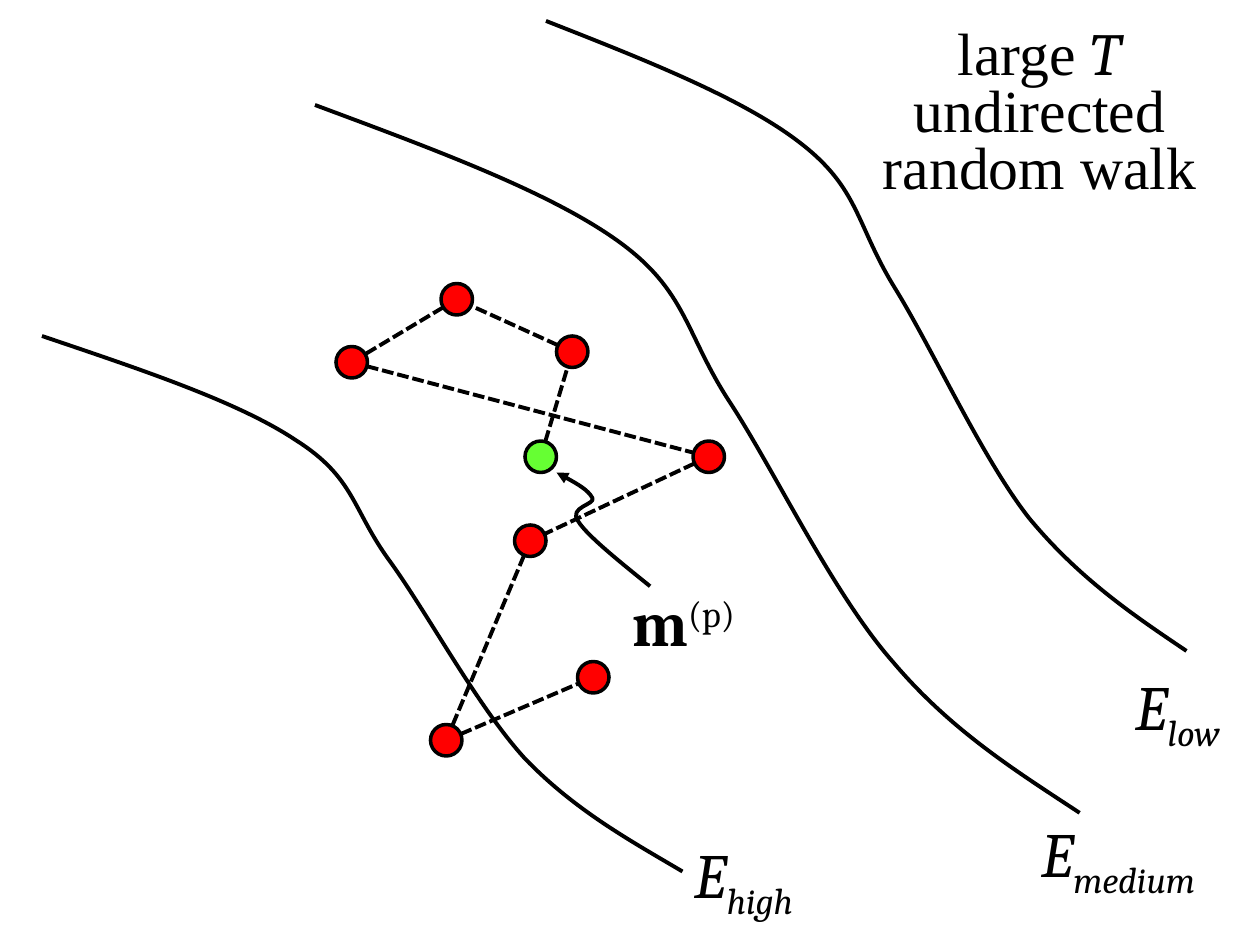
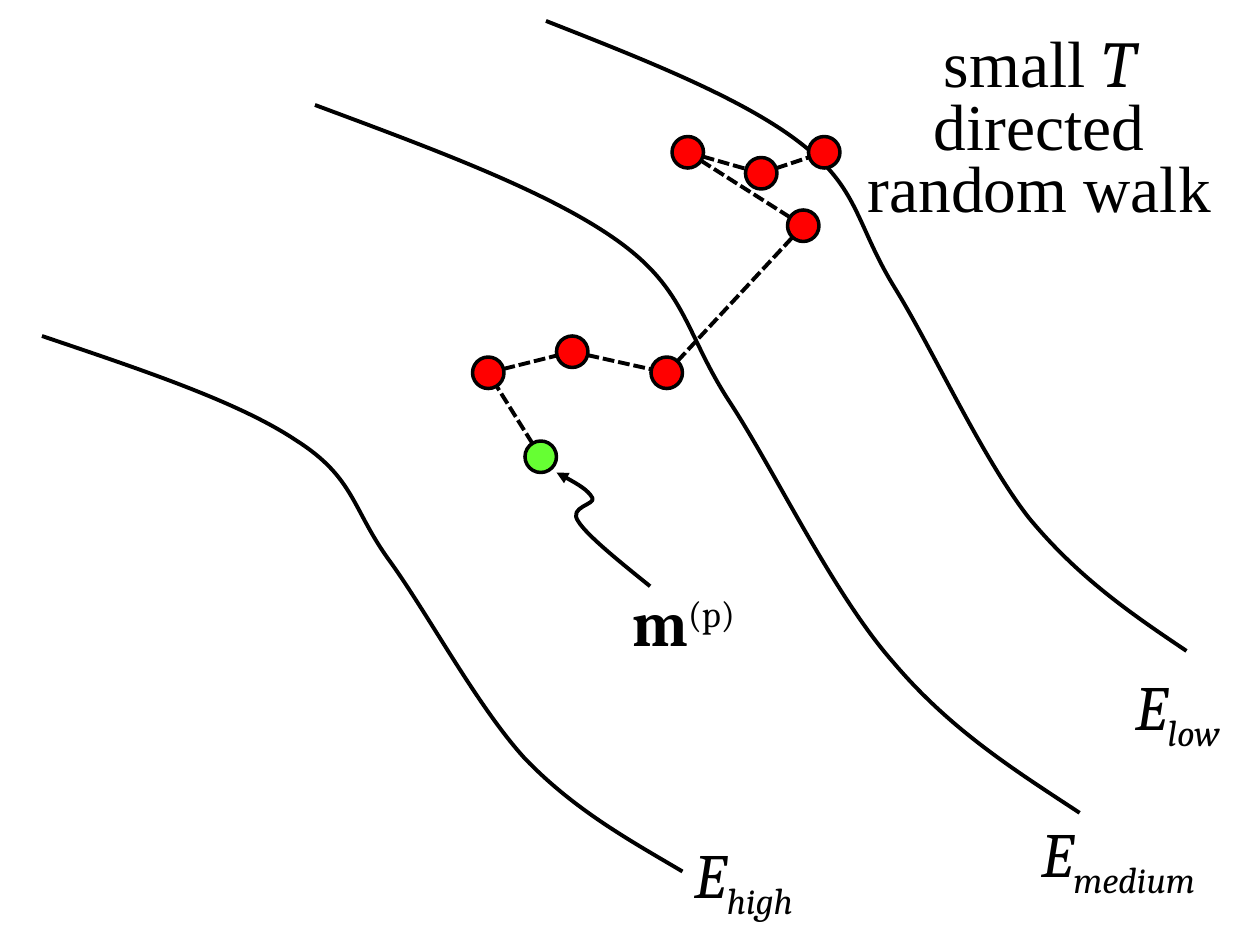
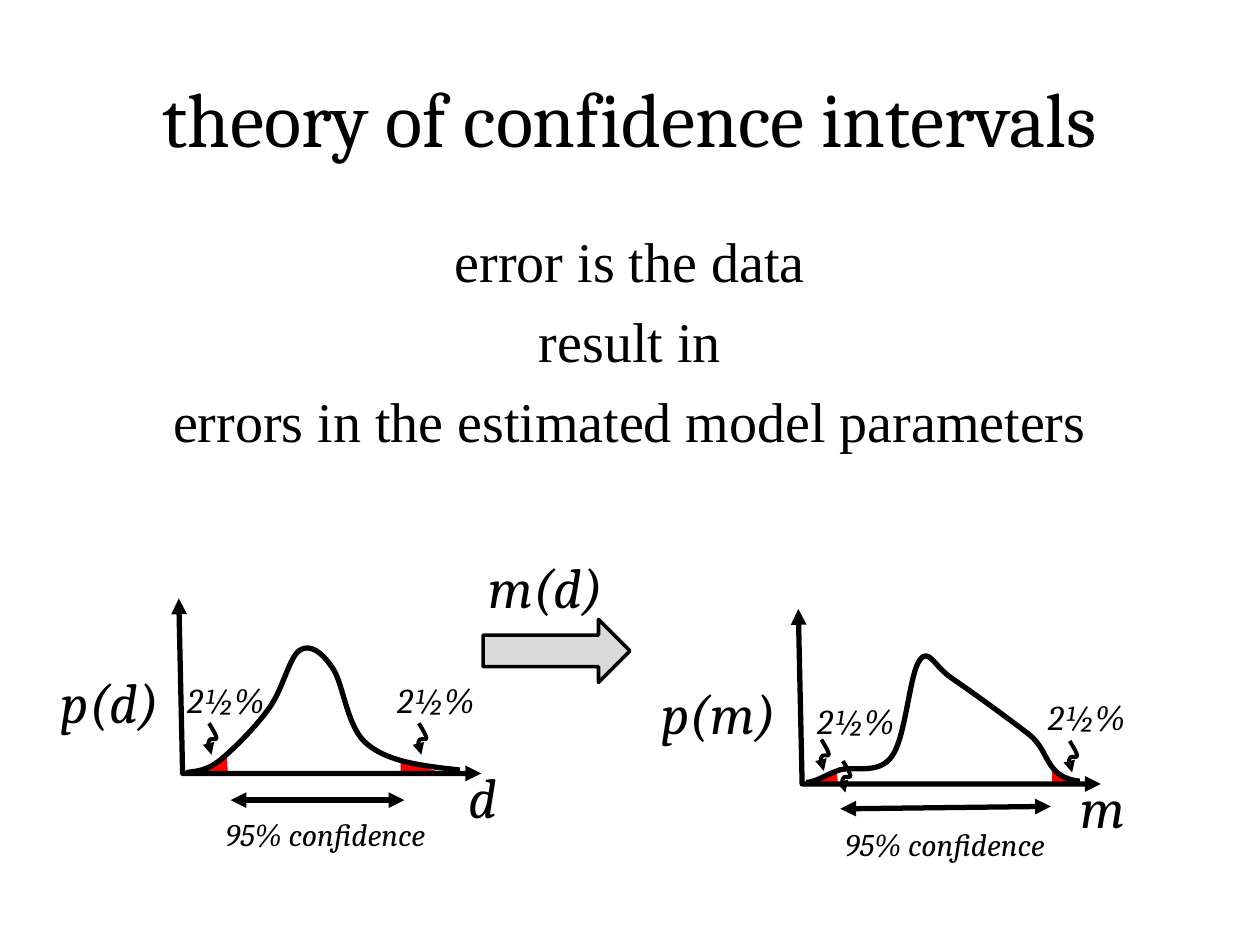
from itertools import pairwise
from lxml.etree import SubElement
from pptx import Presentation
from pptx.dml.color import RGBColor
from pptx.enum.dml import MSO_LINE
from pptx.enum.shapes import MSO_CONNECTOR as Connector, MSO_SHAPE as Preset
from pptx.enum.text import MSO_ANCHOR as Anchor, PP_ALIGN as Align
from pptx.oxml.ns import qn
from pptx.util import Pt

COLORS = {"ink": "000000", "start": "66FF33", "alert": "FF0000", "arrow": "D9D9D9"}
SERIF, BODY = "Cambria", "Times New Roman"
BALL = 18
START = (300, 252)

CONTOURS = [
    [(180, 60), (247, 85), (314, 109.5), (353.5, 138), (393, 166.5), (391.5, 191),
     (417.5, 230.5), (443.5, 270.5), (476.5, 340), (510.5, 378.5), (543.5, 417.5),
     (580.5, 440.5), (617, 464.5)],
    [(24, 192), (80, 211), (136, 229.5), (169, 251.5), (203, 273), (201, 291),
     (223, 321), (245, 351.5), (273, 404), (300, 433.5), (328.5, 463),
     (359.5, 480), (390, 498)],
    [(312, 12), (368, 34), (424, 56), (457, 81.5), (491, 107.5), (489, 128),
     (511, 164), (533, 199.5), (561, 261.5), (588, 296), (616.5, 330.5),
     (647.5, 351.5), (678, 372)],
]
POINTER = [(318, 270), (327.5, 275), (336, 280), (338.5, 284.5), (340.5, 288.5),
           (324.5, 289.5), (330.5, 298), (335.5, 306), (353.5, 320.5), (371.5, 335)]
CONTOUR_LABELS = [("high", (390, 474, 96, 51)), ("medium", (588, 462, 132, 51)),
                  ("low", (642, 378, 78, 51))]
WALKS = [
    {"heading": "large ", "detail": "undirected random walk", "size": 34.1,
     "box": (468, 12, 252, 108),
     "steps": [(318, 192), (252, 162), (192, 198), (396, 252), (294, 300),
               (246, 414), (330, 378)]},
    {"heading": "small ", "detail": "directed random walk", "size": 37.4,
     "box": (468, 18, 252, 114),
     "steps": [(270, 204), (318, 192), (372, 204), (450, 120), (384, 78),
               (426, 90), (462, 78)]},
]

TITLE = "theory of confidence intervals"
STATEMENT = ["error is the data", "result in", "errors in the estimated model parameters"]
AXES = [(102.2, 342), (104.4, 442), (275, 442)]
WIGGLE = [(0, 0), (2.2, 3.6), (4.3, 7.2), (4.3, 8.6), (4.3, 10.1), (0, 7.9),
          (0, 10.1), (-0.7, 11.5), (0, 14.4), (1.4, 18)]
PLOTS = [
    {"variable": "d", "offset": (0, 0), "density_box": (18, 378, 90, 54),
     "curve": [(106.6, 441.4), (112.3, 440.6), (118, 440.6), (126, 434.2),
               (133.9, 427.7), (147.6, 414), (154.8, 403.2), (162, 392.4),
               (165.6, 375.1), (171.4, 371.5), (177.1, 367.9), (183.6, 372.2),
               (190, 381.6), (196.6, 391), (198, 416.2), (210.2, 425.5),
               (222.5, 435.6), (242.6, 437.8), (262.8, 440)],
     "tails": [[(113, 442.8), (130.3, 442.1), (129.6, 430.6), (116.6, 440.6)],
               [(254.9, 442.1), (229, 442.1), (229, 434.9)]],
     "percents": [(72, 384), (192, 384)],
     "wiggles": [(119.5, 413.3), (239.4, 413.3)],
     "interval": [(131.8, 457.2), (231.1, 457.2)]},
    {"variable": "m", "offset": (354, 6), "density_box": (354, 384, 114, 54),
     "curve": [(460.8, 447.1), (465.8, 447.1), (471.6, 442.8), (480.2, 439.9),
               (488.2, 437.8), (502.6, 442.8), (509.8, 432), (517.7, 421.2),
               (519.8, 384.5), (525.6, 377.3), (530.6, 370), (533.5, 380.2),
               (543.6, 387.4), (554.4, 394.6), (576, 410.4), (588.2, 419.8),
               (600.5, 429.8), (596.9, 444.2), (617, 446.4)],
     "tails": [[(464.4, 448.6), (478.8, 447.1), (478.1, 440.6)],
               [(601.2, 439.9), (601.2, 447.8), (615.6, 447.1)]],
     "percents": [(432, 396), (563.8, 393.8)],
     "wiggles": [(469.4, 422.6), (611.3, 423.4), (481.7, 434.9)],
     "interval": [(480.2, 462.2), (600.5, 460.8)]},
]


def color(name):
    return RGBColor.from_string(COLORS[name])


def shifted(points, offset):
    return [(x + offset[0], y + offset[1]) for x, y in points]


def style_line(shape, width, head=False, tail=False):
    shape.line.color.rgb = color("ink")
    shape.line.width = Pt(width)
    line = shape.element.spPr.find(qn("a:ln"))
    for wanted, tag in ((head, "a:headEnd"), (tail, "a:tailEnd")):
        if wanted:
            SubElement(line, qn(tag), type="triangle")


def add_outline(slide, points, closed=False):
    start, *others = [(Pt(x), Pt(y)) for x, y in points]
    builder = slide.shapes.build_freeform(*start)
    builder.add_line_segments(others, close=closed)
    shape = builder.convert_to_shape()
    shape.shadow.inherit = False
    return shape


def add_stroke(slide, points, width, head=False, tail=False):
    shape = add_outline(slide, points)
    shape.fill.background()
    style_line(shape, width, head, tail)
    return shape


def add_curve(slide, points, width, head=False, tail=False):
    shape = add_stroke(slide, points, width, head, tail)
    segments = list(shape.element.iter(qn("a:lnTo")))
    outline = segments[0].getparent()
    for first in range(0, len(segments), 3):
        bezier = SubElement(outline, qn("a:cubicBezTo"))
        for segment in segments[first:first + 3]:
            bezier.append(segment[0])
            outline.remove(segment)


def add_line(slide, start, end, width, arrows=False, dashed=False):
    ends = [Pt(value) for value in (*start, *end)]
    connector = slide.shapes.add_connector(Connector.STRAIGHT, *ends)
    if dashed:
        connector.line.dash_style = MSO_LINE.SQUARE_DOT
    style_line(connector, width, arrows, arrows)
    SubElement(connector.element.spPr, qn("a:effectLst"))


def add_shape(slide, preset, box, fill):
    shape = slide.shapes.add_shape(preset, *map(Pt, box))
    shape.shadow.inherit = False
    shape.fill.solid()
    shape.fill.fore_color.rgb = color(fill)
    style_line(shape, 2)


def add_text_frame(slide, box, anchor=Anchor.TOP):
    frame = slide.shapes.add_textbox(*map(Pt, box)).text_frame
    frame.word_wrap = True
    frame.vertical_anchor = anchor
    return frame


def style_font(font, size, name=SERIF, italic=False):
    font.size, font.name, font.italic = Pt(size), name, italic
    font.color.rgb = color("ink")


def add_text(slide, lines, box, size, name=SERIF, italic=True, anchor=Anchor.TOP, gap=0.23):
    frame = add_text_frame(slide, box, anchor)
    for index, line in enumerate(lines):
        paragraph = frame.add_paragraph() if index else frame.paragraphs[0]
        paragraph.text = line
        paragraph.alignment = Align.CENTER
        paragraph.space_before = Pt(round(size * gap, 1))
        style_font(paragraph.font, size, name, italic)


def add_symbol(slide, letter, script, box, baseline, italic):
    paragraph = add_text_frame(slide, box).paragraphs[0]
    style_font(paragraph.font, 36, italic=italic)
    main, small = paragraph.add_run(), paragraph.add_run()
    main.text, small.text = letter, script
    main.font.bold = not italic
    small.font._element.set("baseline", str(baseline * 1000))


def add_walk_heading(slide, walk):
    frame = add_text_frame(slide, walk["box"], Anchor.MIDDLE)
    first, second = frame.paragraphs[0], frame.add_paragraph()
    for paragraph in (first, second):
        paragraph.alignment = Align.CENTER
        paragraph.line_spacing = 0.8
        style_font(paragraph.font, walk["size"], BODY)
    first.add_run().text = walk["heading"]
    temperature = first.add_run()
    temperature.text = "T"
    temperature.font.name, temperature.font.italic = SERIF, True
    second.text = walk["detail"]


def draw_walk(slide, walk):
    add_curve(slide, POINTER, 2.25, head=True)
    for contour in CONTOURS:
        add_curve(slide, contour, 2.25)
    add_symbol(slide, "m", "(p)", (354, 330, 120, 51), 30, False)
    for level, box in CONTOUR_LABELS:
        add_symbol(slide, "E", level, box, -25, True)
    stops = [START, *walk["steps"]]
    for start, end in pairwise(shifted(stops, (BALL / 2, BALL / 2))):
        add_line(slide, start, end, 2.25, dashed=True)
    for stop in stops:
        fill = "start" if stop == START else "alert"
        add_shape(slide, Preset.OVAL, (*stop, BALL, BALL), fill)
    add_walk_heading(slide, walk)


def draw_plot(slide, plot):
    x, y = plot["offset"]
    for tail in plot["tails"]:
        shape = add_outline(slide, tail, closed=True)
        shape.fill.solid()
        shape.fill.fore_color.rgb = color("alert")
        shape.line.fill.background()
    add_stroke(slide, shifted(AXES, plot["offset"]), 3, head=True, tail=True)
    add_curve(slide, plot["curve"], 3)
    add_text(slide, [f"p({plot['variable']})"], plot["density_box"], 32)
    add_text(slide, [plot["variable"]], (240 + x, 432 + y, 72, 54), 32)
    add_text(slide, ["95% confidence"], (96 + x, 462 + y, 180, 54), 18)
    for corner in plot["percents"]:
        add_text(slide, ["2½%"], (*corner, 114, 54), 20)
    for start in plot["wiggles"]:
        add_curve(slide, shifted(WIGGLE, start), 2.25, tail=True)
    add_line(slide, *plot["interval"], 3, arrows=True)


presentation = Presentation()
presentation.slide_width, presentation.slide_height = Pt(720), Pt(540)
blank = presentation.slide_layouts[6]

for walk in WALKS:
    draw_walk(presentation.slides.add_slide(blank), walk)

theory = presentation.slides.add_slide(blank)
add_text(theory, [TITLE], (36, 21.6, 648, 90), 44, italic=False, anchor=Anchor.MIDDLE, gap=0)
add_text(theory, STATEMENT, (36, 126, 648, 144), 32, BODY, italic=False)
for plot in PLOTS:
    draw_plot(theory, plot)
add_shape(theory, Preset.RIGHT_ARROW, (276, 354, 84, 36), "arrow")
add_text(theory, ["m(d)"], (246, 312, 132, 30), 32)

presentation.save("out.pptx")
